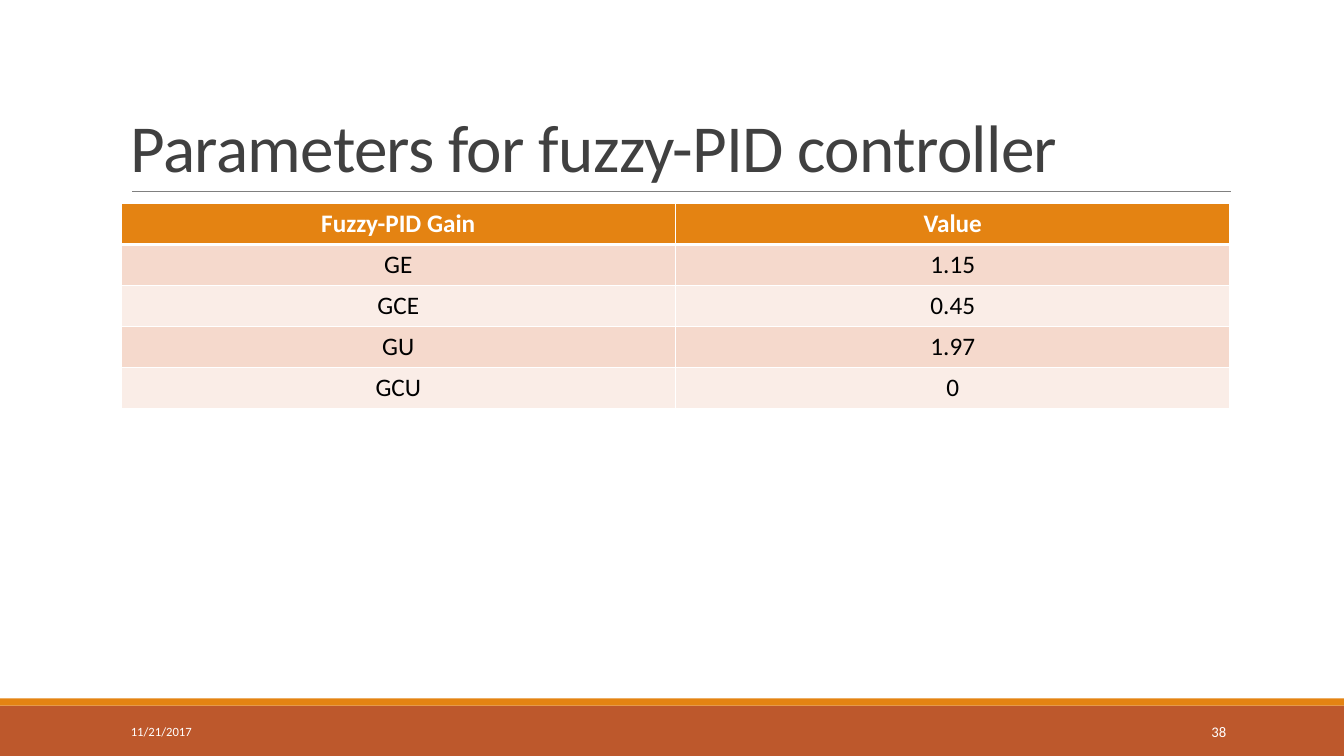
from lxml import etree
from pptx import Presentation
from pptx.dml.color import RGBColor
from pptx.enum.shapes import MSO_CONNECTOR, MSO_SHAPE
from pptx.enum.text import MSO_ANCHOR, PP_ALIGN
from pptx.oxml.ns import qn
from pptx.util import Pt

PX = 9144
FONT = "Calibri"
COLORS = {
    "white": "FFFFFF",
    "black": "000000",
    "heading": "404040",
    "rule": "808080",
    "orange": "E48312",
    "rust": "BD582C",
    "band_dark": "F5D9CC",
    "band_light": "FAEDE7",
}
LEFT, CENTER, RIGHT = PP_ALIGN.LEFT, PP_ALIGN.CENTER, PP_ALIGN.RIGHT
TOP, MIDDLE, BOTTOM = MSO_ANCHOR.TOP, MSO_ANCHOR.MIDDLE, MSO_ANCHOR.BOTTOM
RECTANGLE = MSO_SHAPE.RECTANGLE
STRAIGHT = MSO_CONNECTOR.STRAIGHT

GAINS = [
    ("Fuzzy-PID Gain", "Value"),
    ("GE", "1.15"),
    ("GCE", "0.45"),
    ("GU", "1.97"),
    ("GCU", "0"),
]


def px(*lengths):
    return [length * PX for length in lengths]


def rgb(color):
    return RGBColor.from_string(COLORS[color])


def write(frame, text, size, color, bold=False, align=LEFT, anchor=TOP,
          line_spacing=None, tracking=None):
    frame.word_wrap = True
    frame.vertical_anchor = anchor
    paragraph = frame.paragraphs[0]
    paragraph.alignment = align
    paragraph.line_spacing = line_spacing
    run = paragraph.add_run()
    run.text = text
    run.font.name = FONT
    run.font.size = Pt(size)
    run.font.bold = bold
    run.font.color.rgb = rgb(color)
    if tracking is not None:
        run.font._element.set("spc", str(round(tracking * 100)))


def label(slide, box, text, **style):
    write(slide.shapes.add_textbox(*px(*box)).text_frame, text, **style)


def bar(slide, box, color):
    band = slide.shapes.add_shape(RECTANGLE, *px(*box))
    band.shadow.inherit = False
    band.fill.solid()
    band.fill.fore_color.rgb = rgb(color)
    band.line.fill.background()


def border(cell, side, width):
    edge = etree.SubElement(cell._tc.get_or_add_tcPr(), qn(f"a:ln{side}"),
                            w=str(Pt(width)))
    paint = etree.SubElement(edge, qn("a:solidFill"))
    etree.SubElement(paint, qn("a:srgbClr"), val=COLORS["white"])


def heading(slide, box):
    left, top, width, height = box
    base = top + height
    rule = slide.shapes.add_connector(
        STRAIGHT, *px(left + 11, base, left + width + 1, base))
    rule.line.color.rgb = rgb("rule")
    rule.line.width = Pt(0.5)
    etree.SubElement(rule._element.spPr, qn("a:effectLst"))
    label(slide, box, "Parameters for fuzzy-PID controller", size=48,
          color="heading", anchor=BOTTOM, line_spacing=0.85, tracking=-0.5)


def gain_table(slide, box):
    table = slide.shapes.add_table(len(GAINS), len(GAINS[0]), *px(*box)).table
    for row, values in enumerate(GAINS):
        is_header = row == 0
        if is_header:
            fill = "orange"
        else:
            fill = "band_dark" if row % 2 else "band_light"
        for column, value in enumerate(values):
            cell = table.cell(row, column)
            write(cell.text_frame, value, size=18, bold=is_header, align=CENTER,
                  color="white" if is_header else "black")
            for side in "LRTB":
                heavy = (is_header and side == "B") or (row == 1 and side == "T")
                border(cell, side, 3 if heavy else 1)
            cell.fill.solid()
            cell.fill.fore_color.rgb = rgb(fill)


def footer(slide, box):
    left, top, width, height = box
    stripe = 7
    bar(slide, (left, top + stripe, width, height - stripe), "rust")
    bar(slide, (left, top, width, stripe), "orange")
    label(slide, (left + 120, top + 13, 270, 40), "11/21/2017", size=9,
          color="white", anchor=MIDDLE)
    label(slide, (left + width - 250, top + 13, 143, 40), "38", size=10.5,
          color="white", align=RIGHT, anchor=MIDDLE)


def main():
    deck = Presentation()
    deck.slide_width, deck.slide_height = px(1333, 750)
    slide = deck.slides.add_slide(deck.slide_layouts[6])
    footer(slide, (0, 693, 1333, 57))
    heading(slide, (120, 31, 1100, 159))
    gain_table(slide, (120, 202, 1100, 203))
    deck.save("out.pptx")


if __name__ == "__main__":
    main()
